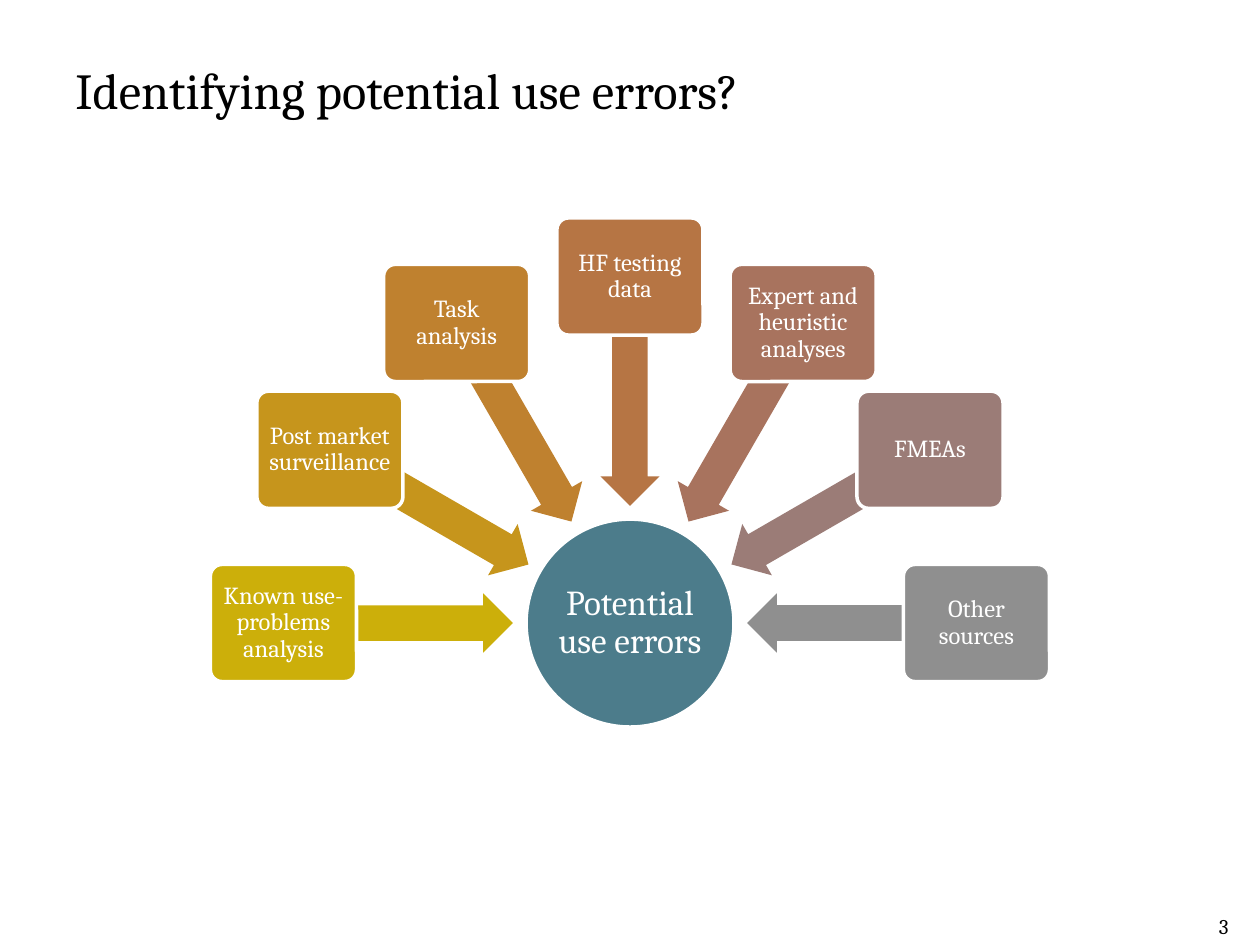
from math import cos, radians, sin

from pptx import Presentation
from pptx.dml.color import RGBColor
from pptx.enum import shapes, text
from pptx.util import Inches, Pt

# Content
TITLE = "Identifying potential use errors?"
PAGE = "3"
HUB = "Potential use errors"
CARDS = [
    ("Known use- problems analysis", RGBColor(0xCC, 0xAF, 0x0A)),
    ("Post market surveillance", RGBColor(0xC6, 0x95, 0x1C)),
    ("Task analysis", RGBColor(0xBF, 0x81, 0x2F)),
    ("HF testing data", RGBColor(0xB6, 0x75, 0x44)),
    ("Expert and heuristic analyses", RGBColor(0xA8, 0x73, 0x5E)),
    ("FMEAs", RGBColor(0x9B, 0x7C, 0x77)),
    ("Other sources", RGBColor(0x8F, 0x8F, 0x8F)),
]

# Look
FONT = "Cambria"
BLACK = RGBColor(0, 0, 0)
WHITE = RGBColor(0xFF, 0xFF, 0xFF)
TEAL = RGBColor(0x4C, 0x7C, 0x8B)
KIND = shapes.MSO_SHAPE
ALIGN = text.PP_ALIGN
ANCHOR = text.MSO_ANCHOR

# Fan layout, in inches
MID_X, MID_Y = 5, 4.945
HUB_D = 1.65
CARD_W, CARD_H, CARD_R = 1.16, 0.93, 2.75
ARROW_W, ARROW_H, ARROW_R = 1.82, 0.47, 1.84


def write(shape, words, size, color=WHITE, align=ALIGN.CENTER,
          anchor=ANCHOR.MIDDLE, pad=(0.03, 0.03), space=0.9):
    frame = shape.text_frame
    frame.word_wrap = True
    frame.vertical_anchor = anchor
    frame.margin_left = frame.margin_right = Inches(pad[0])
    frame.margin_top = frame.margin_bottom = Inches(pad[1])
    para = frame.paragraphs[0]
    para.text = words
    para.alignment = align
    para.line_spacing = space
    para.font.name = FONT
    para.font.size = Pt(size)
    para.font.color.rgb = color


def place(kind, x, y, w, h, fill, edge=True):
    """Add a filled shape centred on x, y."""
    shape = slide.shapes.add_shape(
        kind, Inches(x - w / 2), Inches(y - h / 2), Inches(w), Inches(h))
    shape.shadow.inherit = False
    shape.fill.solid()
    shape.fill.fore_color.rgb = fill
    if edge:
        shape.line.color.rgb = WHITE
        shape.line.width = Pt(2)
    else:
        shape.line.fill.background()
    return shape


def orbit(turn, dist):
    """Point at a clockwise angle from the left of the hub."""
    return (MID_X - dist * cos(radians(turn)),
            MID_Y - dist * sin(radians(turn)))


deck = Presentation()
deck.slide_width, deck.slide_height = Inches(10), Inches(7.5)
slide = deck.slides.add_slide(deck.slide_layouts[6])

# Page number and title
page = slide.shapes.add_textbox(
    Inches(8.92), Inches(7.25), Inches(0.83), Inches(0.2))
write(page, PAGE, 12, color=BLACK, align=ALIGN.RIGHT,
      anchor=ANCHOR.BOTTOM, pad=(0, 0), space=1.0)
title = slide.shapes.add_textbox(
    Inches(0.5), Inches(0.42), Inches(8.62), Inches(0.58))
write(title, TITLE, 28.8, color=BLACK, align=ALIGN.LEFT,
      pad=(0.1, 0.05), space=1.0)

# Hub
hub = place(KIND.OVAL, MID_X, MID_Y, HUB_D, HUB_D, TEAL)
write(hub, HUB, 20, pad=(0.01, 0.01))

# Arrows and cards, fanned over a half circle
step = 180 / (len(CARDS) - 1)
for i, (label, color) in enumerate(CARDS):
    turn = i * step
    arrow = place(KIND.LEFT_ARROW, *orbit(turn, ARROW_R),
                  ARROW_W, ARROW_H, color, edge=False)
    arrow.rotation = (180 + turn) % 360
    arrow.adjustments[0] = 0.6
    arrow.adjustments[1] = 0.5
    card = place(KIND.ROUNDED_RECTANGLE, *orbit(turn, CARD_R),
                 CARD_W, CARD_H, color)
    card.adjustments[0] = 0.1
    write(card, label, 14)

deck.save("out.pptx")
